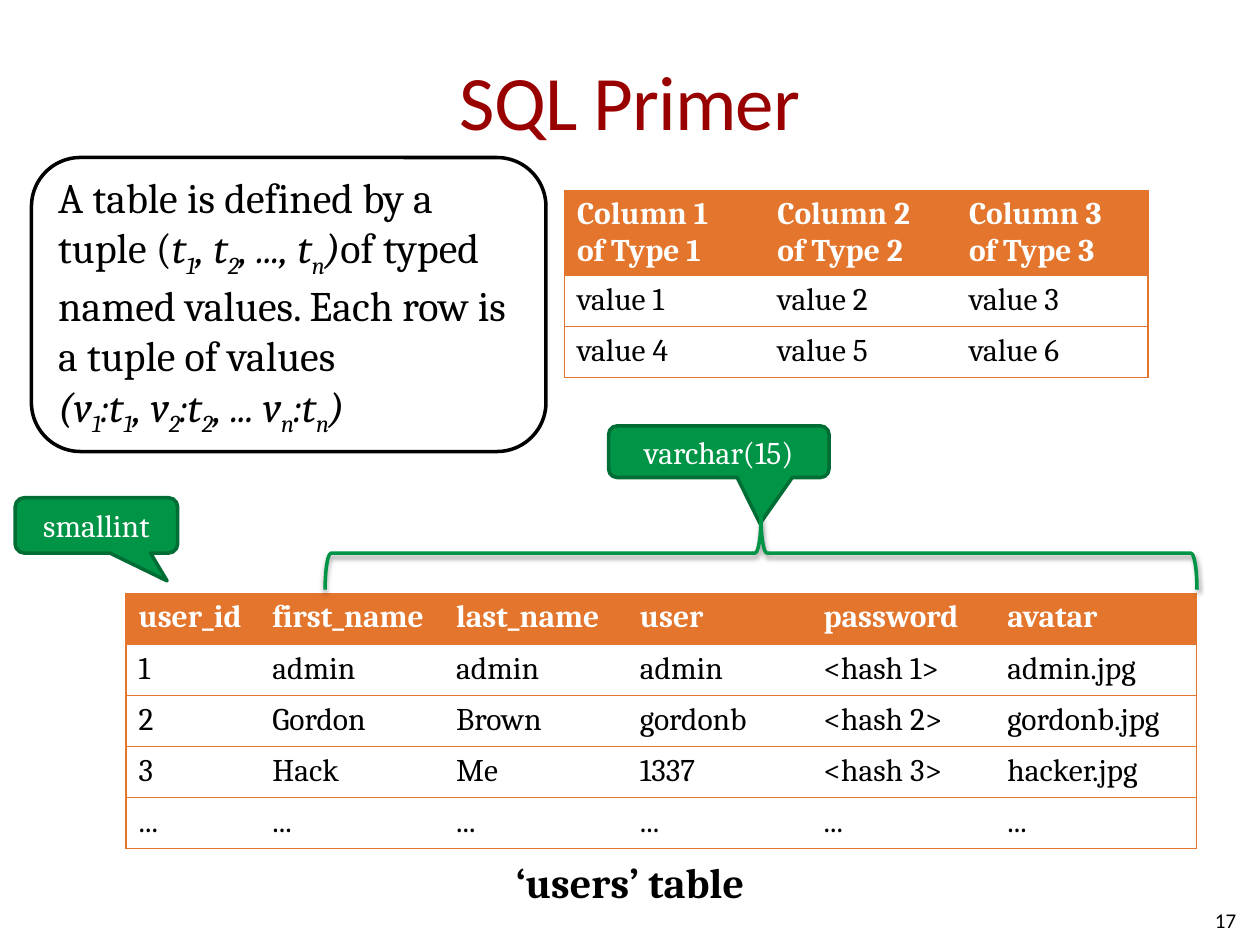
from lxml.etree import SubElement
from pptx import Presentation
from pptx.dml.color import RGBColor
from pptx.enum.shapes import MSO_SHAPE as Preset
from pptx.enum.text import MSO_ANCHOR as Anchor, PP_ALIGN as Align
from pptx.oxml import parse_xml
from pptx.oxml.ns import nsdecls, qn
from pptx.util import Pt

ORANGE, GREEN, DARK_GREEN = "E3752D", "009446", "006D34"
BLACK, WHITE, RED = "000000", "FFFFFF", "990000"


def color(code):
    return RGBColor.from_string(code)


def style(para, code, **formats):
    for span in para.runs:
        span.font.color.rgb = color(code)
        for name, value in formats.items():
            setattr(span.font, name, value)


deck = Presentation()
deck.slide_width, deck.slide_height = Pt(720), Pt(540)
page = deck.slides.add_slide(deck.slide_layouts[5])

title = page.shapes.title
title.left, title.top, title.width, title.height = Pt(36), Pt(12.24), Pt(648), Pt(90)
frame = title.text_frame
frame.text = "SQL Primer"
frame.vertical_anchor = Anchor.MIDDLE
frame.margin_left = frame.margin_right = 0
para = frame.paragraphs[0]
para.alignment = Align.CENTER
style(para, RED, size=Pt(44), name="Calibri")
para.runs[0].font._element.set("spc", "-50")

tables = [
    ((322.56, 108.72), [114.5, 109.5, 109.5], [48.6, 29.2, 29.2], [
        [f"Column {n} \nof Type {n}" for n in (1, 2, 3)],
        ["value 1", "value 2", "value 3"],
        ["value 4", "value 5", "value 6"],
    ]),
    ((72, 339), [76.5, 105, 105, 105, 105, 115.5], [29.2] * 5, [
        ["user_id", "first_name", "last_name", "user", "password", "avatar"],
        ["1", "admin", "admin", "admin", "<hash 1>", "admin.jpg"],
        ["2", "Gordon", "Brown", "gordonb", "<hash 2>", "gordonb.jpg"],
        ["3", "Hack", "Me", "1337", "<hash 3>", "hacker.jpg"],
        ["..."] * 6,
    ]),
]
for (left, top), widths, heights, values in tables:
    holder = page.shapes.add_table(
        len(heights), len(widths), Pt(left), Pt(top), Pt(sum(widths)), Pt(sum(heights)))
    table = holder.table
    table.horz_banding = False
    table._tbl.tblPr.find(qn("a:tableStyleId")).text = "{2D5ABB26-0587-4C30-8999-92F81FD0307C}"
    for column, width in zip(table.columns, widths):
        column.width = Pt(width)
    for row_index, (row, height) in enumerate(zip(table.rows, heights)):
        row.height = Pt(height)
        header = row_index == 0
        for column_index, cell in enumerate(row.cells):
            sides = ["T", "B"]
            if column_index == len(widths) - 1:
                sides.insert(0, "R")
            if column_index == 0:
                sides.insert(0, "L")
            for side in sides:
                border = SubElement(cell._tc.get_or_add_tcPr(), qn(f"a:ln{side}"), w=str(Pt(0.75)))
                SubElement(SubElement(border, qn("a:solidFill")), qn("a:srgbClr"), val=ORANGE)
            cell.fill.solid()
            cell.fill.fore_color.rgb = color(ORANGE if header else WHITE)
            para = cell.text_frame.paragraphs[0]
            para.text = values[row_index][column_index]
            style(para, WHITE if header else BLACK, size=Pt(18), name="Cambria", bold=header)

labels = [
    ("‘users’ table", (0, 486, 720, 36), Align.CENTER, Anchor.TOP,
     {"size": Pt(24), "name": "Cambria", "bold": True}),
    ("17", (545.76, 511.2, 167.76, 28.8), Align.RIGHT, Anchor.MIDDLE,
     {"size": Pt(12), "name": "Calibri"}),
]
for text, place, alignment, anchor, formats in labels:
    box = page.shapes.add_textbox(*map(Pt, place))
    box.text_frame.word_wrap = True
    box.text_frame.vertical_anchor = anchor
    para = box.text_frame.paragraphs[0]
    para.text = text
    para.alignment = alignment
    style(para, BLACK, **formats)

definition = page.shapes.add_shape(
    Preset.ROUNDED_RECTANGLE, Pt(18), Pt(90), Pt(294), Pt(168))
definition.shadow.inherit = False
definition.fill.solid()
definition.fill.fore_color.rgb = color(WHITE)
definition.line.color.rgb = color(BLACK)
definition.line.width = Pt(2)
definition.text_frame.word_wrap = True
definition.text_frame.vertical_anchor = Anchor.MIDDLE
para = definition.text_frame.paragraphs[0]
para.alignment = Align.LEFT
phrases = [
    ("A table is defined by a tuple (", False),
    ("t_1, t_2, ..., t_n)", True),
    ("of typed named values. Each row is a tuple of values ", False),
    ("\n", False),
    ("(v_1:t_1, v_2:t_2, ... v_n:t_n)", True),
]
for phrase, italic in phrases:
    if phrase == "\n":
        para.add_line_break()
        continue
    first, *rest = phrase.split("_")
    pieces = [(first, False)]
    for part in rest:
        pieces += [(part[0], True), (part[1:], False)]
    for text, subscript in pieces:
        span = para.add_run()
        span.text = text
        span.font.italic = italic
        if subscript:
            span.font._element.set("baseline", "-25000")
style(para, BLACK, size=Pt(24), name="Cambria")

callouts = [
    ("smallint", (8.64, 284.4, 92.88, 31.68), (0.435, 1.001, 0.167)),
    ("varchar(15)", (347.76, 243.36, 126, 29.52), (0.187, 1.392, 0.167)),
]
for text, place, adjustments in callouts:
    callout = page.shapes.add_shape(Preset.ROUNDED_RECTANGULAR_CALLOUT, *map(Pt, place))
    for index, value in enumerate(adjustments):
        callout.adjustments[index] = value
    callout.shadow.inherit = False
    callout.fill.solid()
    callout.fill.fore_color.rgb = color(GREEN)
    callout.line.color.rgb = color(DARK_GREEN)
    callout.line.width = Pt(2)
    callout.text_frame.vertical_anchor = Anchor.MIDDLE
    para = callout.text_frame.paragraphs[0]
    para.text = text
    para.alignment = Align.CENTER
    style(para, WHITE, size=Pt(18), name="Cambria")

brace = page.shapes.add_shape(Preset.RIGHT_BRACE, Pt(414), Pt(66.96), Pt(41.76), Pt(498.24))
brace.rotation = 270
brace.fill.background()
brace.line.color.rgb = color(GREEN)
brace.line.width = Pt(2)
brace._element.spPr.append(parse_xml(
    f'<a:effectLst {nsdecls("a")}><a:outerShdw blurRad="{Pt(3.1)}" dist="{Pt(1.6)}" '
    f'dir="5400000" rotWithShape="0"><a:srgbClr val="{BLACK}"><a:alpha val="38000"/>'
    '</a:srgbClr></a:outerShdw></a:effectLst>'))

deck.save("out.pptx")
